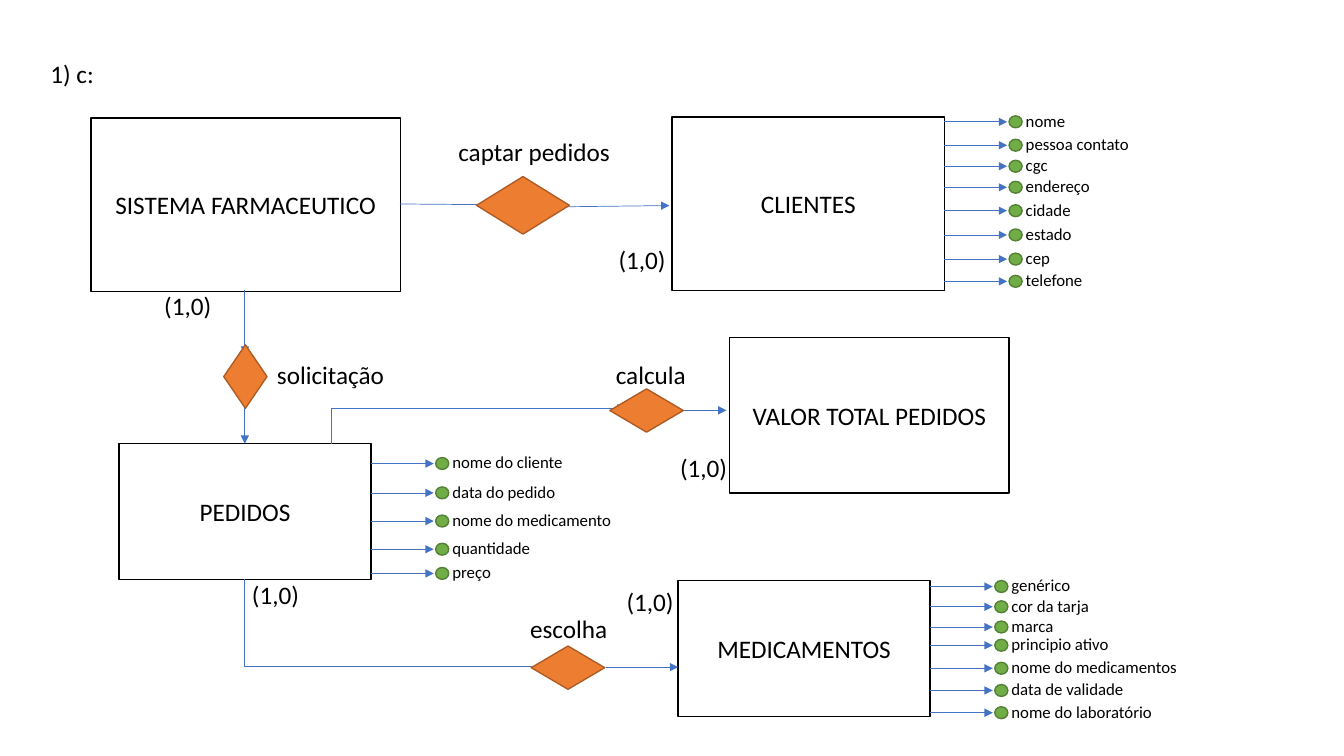
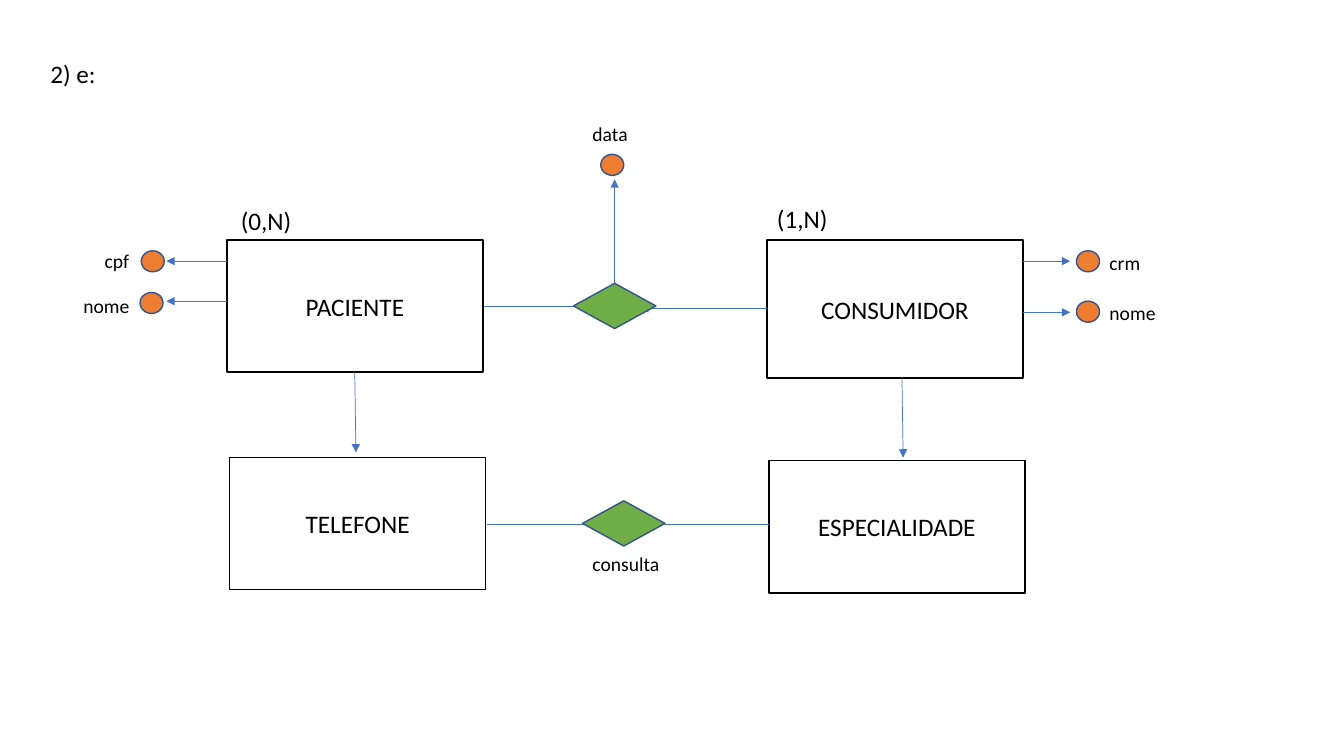
"""Build two entity-relationship diagrams as slides."""
from lxml import etree
from pptx import Presentation
from pptx import util as u
from pptx.dml.color import RGBColor
from pptx.enum import shapes, text
from pptx.oxml.ns import qn

FONT = "Calibri"
BLACK, WHITE, BLUE = "000000", "FFFFFF", "4472C4"
ORANGE, GREEN = "ED7D31", "70AD47"
LABEL_HEIGHTS = {18: 1.02, 14: 0.86, 12: 0.76}
DOT_GAP, LABEL_GAP, ARROW_LENGTH = 1.63, 1.8, 1.58

PHARMACY = {
    "title": "1) c:",
    "diamond": (ORANGE, "AF5C24"),
    "dot": (GREEN, "538035"),
    "dot_size": (0.33, 0.3),
    "entities": [
        ("SISTEMA FARMACEUTICO", 2.29, 2.97, 7.8, 4.37, []),
        ("CLIENTES", 16.94, 2.95, 6.86, 4.37, [
            ("nome", 3.07, 1.6), ("pessoa contato", 3.66, 3.2),
            ("cgc", 4.19, 1.1), ("endereço", 4.72, 2.2),
            ("cidade", 5.31, 1.7), ("estado", 5.92, 1.7),
            ("cep", 6.53, 1.2), ("telefone", 7.09, 2)]),
        ("PEDIDOS", 3, 11.18, 6.35, 3.43, [
            ("nome do cliente", 11.68, 3.4), ("data do pedido", 12.42, 3.2),
            ("nome do medicamento", 13.13, 4.6),
            ("quantidade", 13.84, 2.55), ("preço", 14.45, 1.6)]),
        ("MEDICAMENTOS", 17.09, 14.63, 6.35, 3.43, [
            ("genérico", 14.78, 2.2), ("cor da tarja", 15.29, 2.7),
            ("marca", 15.8, 1.7), ("principio ativo", 16.26, 3.1),
            ("nome do medicamentos", 16.84, 4.8),
            ("data de validade", 17.4, 3.4),
            ("nome do laboratório", 17.96, 4.2)]),
        ("VALOR TOTAL PEDIDOS", 18.39, 8.51, 7.04, 3.91, []),
    ],
    "diamonds": [(12.01, 4.45, 2.34, 1.45), (5.64, 8.69, 1.09, 1.6),
                 (13.39, 16.28, 1.85, 1.09), (15.37, 9.8, 1.85, 1.09)],
    "dots": [],
    "arrows": [(10.08, 5.14, 12.52, 5.16), (14.27, 5.21, 16.87, 5.18),
               (6.17, 7.32, 6.17, 8.94), (6.17, 10.29, 6.17, 11.18),
               (15.27, 16.81, 17.09, 16.81), (8.36, 10.29, 15.77, 10.29),
               (17.22, 10.34, 18.31, 10.34)],
    "bends": [(6.17, 14.6, 15.06, 16.79)],
    "lines": [(8.36, 11.18, 8.36, 10.29)],
    "labels": [
        ("captar pedidos", 11.3, 3.3, 4.4, 18),
        ("solicitação", 6.73, 8.94, 3.3, 18),
        ("escolha", 13.11, 15.34, 2.55, 18),
        ("calcula", 15.27, 8.92, 2.35, 18),
        ("(1,0)", 3.89, 7.19, 1.73, 18), ("(1,0)", 15.34, 6.02, 1.73, 18),
        ("(1,0)", 6.1, 14.48, 1.73, 18), ("(1,0)", 16.89, 11.28, 1.73, 18),
        ("(1,0)", 15.54, 14.66, 1.73, 18)],
}

CLINIC = {
    "title": "2) e:",
    "diamond": (GREEN, "325491"),
    "dot": (ORANGE, "325491"),
    "dot_size": (0.58, 0.53),
    "entities": [
        ("PACIENTE", 5.72, 6.05, 6.45, 3.33, []),
        ("CONSUMIDOR", 19.33, 6.05, 6.45, 3.48, []),
        ("TELEFONE", 5.79, 11.53, 6.45, 3.33, []),
        ("ESPECIALIDADE", 19.38, 11.61, 6.45, 3.33, [])],
    "diamonds": [(14.68, 12.62, 2.08, 1.14), (14.45, 7.14, 2.08, 1.14)],
    "dots": [(3.56, 6.32), (3.53, 7.37), (27.13, 6.32), (27.13, 7.59),
             (15.14, 3.89)],
    "arrows": [(5.72, 6.58, 4.19, 6.58), (5.72, 7.59, 4.19, 7.59),
               (25.78, 6.58, 26.97, 6.58), (25.78, 7.87, 26.97, 7.87),
               (8.94, 9.37, 8.97, 11.4), (22.73, 9.5, 22.76, 11.53),
               (12.19, 7.72, 14.99, 7.72), (19.33, 7.77, 16.13, 7.77),
               (15.49, 7.14, 15.49, 4.52)],
    "bends": [],
    "lines": [(16.76, 13.21, 19.38, 13.21), (14.68, 13.21, 12.27, 13.21)],
    "labels": [
        ("(0,N)", 5.82, 5.05, 2.57, 18), ("(1,N)", 19.33, 5, 1.88, 18),
        ("cpf", 2.39, 6.15, 1.2, 14), ("nome", 1.85, 7.29, 1.73, 14),
        ("crm", 27.71, 6.2, 1.35, 14), ("nome", 27.71, 7.47, 1.78, 14),
        ("data", 14.68, 2.95, 1.63, 14),
        ("consulta", 14.68, 13.79, 2.62, 14)],
}


def colour(value):
    return RGBColor.from_string(value)


def lengths(*values):
    return [u.Cm(value) for value in values]


def write(box, words, size=18, align=text.PP_ALIGN.LEFT,
          anchor=text.MSO_ANCHOR.TOP):
    frame = box.text_frame
    frame.word_wrap = True
    frame.vertical_anchor = anchor
    para = frame.paragraphs[0]
    para.alignment = align
    span = para.add_run()
    span.text = words
    span.font.name = FONT
    span.font.size = u.Pt(size)
    span.font.color.rgb = colour(BLACK)


def add_label(page, words, left, top, width, size):
    place = lengths(left, top, width, LABEL_HEIGHTS[size])
    write(page.shapes.add_textbox(*place), words, size=size)


def add_figure(page, kind, place, fill, line):
    figure = page.shapes.add_shape(kind, *lengths(*place))
    figure.shadow.inherit = False
    figure.fill.solid()
    figure.fill.fore_color.rgb = colour(fill)
    figure.line.color.rgb = colour(line)
    figure.line.width = u.Pt(1)
    return figure


def add_line(page, ends, arrow=True, kind=shapes.MSO_CONNECTOR.STRAIGHT):
    line = page.shapes.add_connector(kind, *lengths(*ends))
    line.line.color.rgb = colour(BLUE)
    line.line.width = u.Pt(0.5)
    properties = line._element.spPr
    if arrow:
        stroke = properties.find(qn("a:ln"))
        etree.SubElement(stroke, qn("a:tailEnd"), type="triangle")
    etree.SubElement(properties, qn("a:effectLst"))
    return line


def add_bend(page, x1, y1, x2, y2):
    middle_x, middle_y = (x1 + x2) / 2, (y1 + y2) / 2
    half_width, half_height = (y2 - y1) / 2, (x2 - x1) / 2
    ends = (middle_x + half_width, middle_y - half_height,
            middle_x - half_width, middle_y + half_height)
    bend = add_line(page, ends, kind=shapes.MSO_CONNECTOR.ELBOW)
    properties = bend._element.spPr
    properties.find(qn("a:xfrm")).set("rot", "16200000")
    properties.find(qn("a:prstGeom")).set("prst", "bentConnector2")


def add_dot(page, diagram, left, top):
    place = (left, top, *diagram["dot_size"])
    add_figure(page, shapes.MSO_SHAPE.OVAL, place, *diagram["dot"])


def add_entity(page, diagram, name, left, top, width, height, attributes):
    box = add_figure(page, shapes.MSO_SHAPE.RECTANGLE,
                     (left, top, width, height), WHITE, BLACK)
    write(box, name, align=text.PP_ALIGN.CENTER,
          anchor=text.MSO_ANCHOR.MIDDLE)
    edge = left + width
    for words, y, label_width in attributes:
        add_line(page, (edge, y, edge + ARROW_LENGTH, y))
        add_dot(page, diagram, edge + DOT_GAP, y - diagram["dot_size"][1] / 2)
        add_label(page, words, edge + LABEL_GAP, y - 0.41, label_width, 12)


def add_diagram(deck, diagram):
    page = deck.slides.add_slide(deck.slide_layouts[6])
    add_label(page, diagram["title"], 1.02, 1.35, 1.75, 18)
    for entity in diagram["entities"]:
        add_entity(page, diagram, *entity)
    for ends in diagram["arrows"]:
        add_line(page, ends)
    for ends in diagram["bends"]:
        add_bend(page, *ends)
    for ends in diagram["lines"]:
        add_line(page, ends, arrow=False)
    for place in diagram["diamonds"]:
        add_figure(page, shapes.MSO_SHAPE.DIAMOND, place, *diagram["diamond"])
    for place in diagram["dots"]:
        add_dot(page, diagram, *place)
    for label in diagram["labels"]:
        add_label(page, *label)


deck = Presentation()
deck.slide_width, deck.slide_height = lengths(33.87, 19.05)
for diagram in (PHARMACY, CLINIC):
    add_diagram(deck, diagram)
deck.save("out.pptx")
